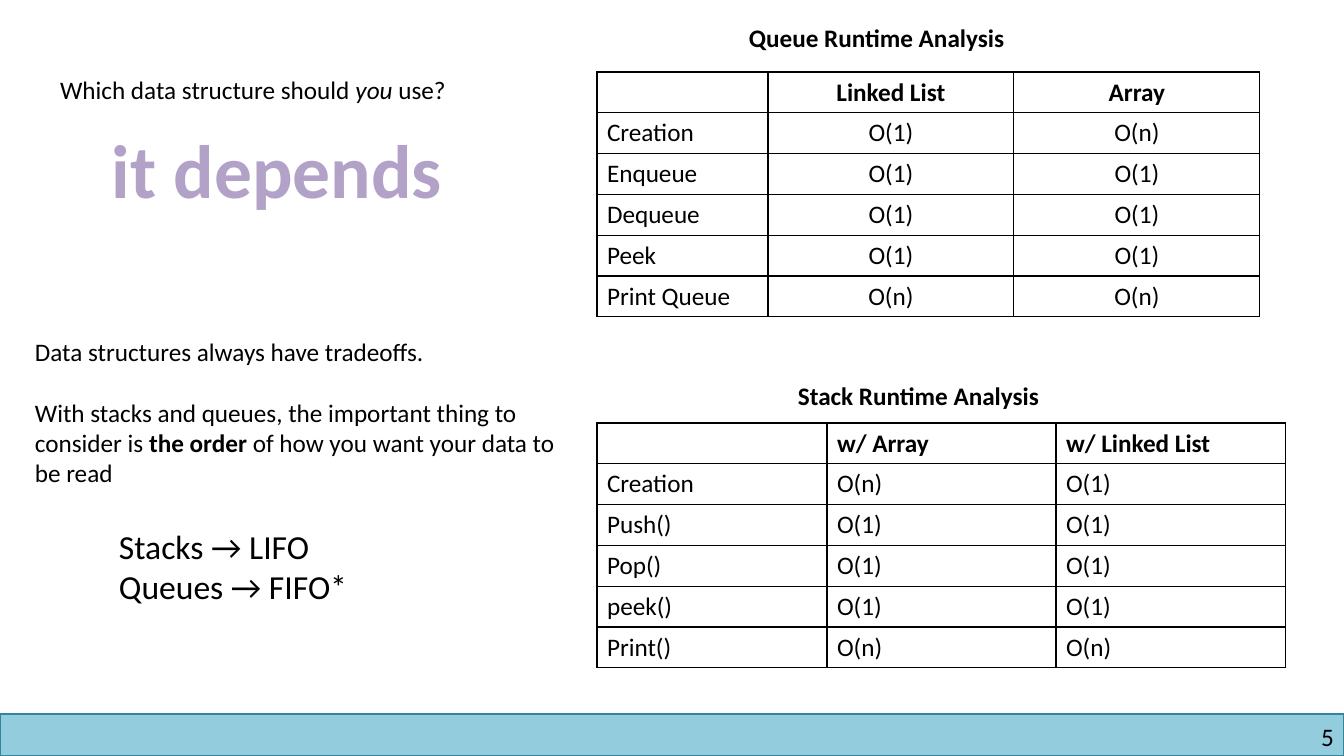
from dataclasses import dataclass

from lxml.etree import SubElement
from pptx import Presentation
from pptx.dml.color import RGBColor
from pptx.enum.shapes import MSO_SHAPE
from pptx.enum.text import MSO_ANCHOR, PP_ALIGN
from pptx.oxml.ns import qn
from pptx.util import Emu, Pt

EMU_PER_PX = 914400 / 100.8


@dataclass(frozen=True)
class Theme:
    font: str = "Calibri"
    ink: str = "000000"
    paper: str = "FFFFFF"
    accent: str = "B3A2C7"
    bar: str = "93CDDD"
    bar_line: str = "31859C"
    body: int = 18
    rule: int = 24
    answer: int = 54
    gap: int = 22


THEME = Theme()


def px(length):
    return Emu(round(length * EMU_PER_PX))


def style(para, size=THEME.body, color=THEME.ink, bold=False, align=PP_ALIGN.LEFT):
    para.alignment = align
    para.font.name = THEME.font
    para.font.size = Pt(size)
    para.font.bold = bold
    para.font.color.rgb = RGBColor.from_string(color)


def fill_text(box, paragraphs, gap=0, **look):
    """Each paragraph is a list of (text, emphasis) spans; emphasis is "", "bold" or "italic"."""
    frame = box.text_frame
    frame.word_wrap = True
    frame.vertical_anchor = MSO_ANCHOR.TOP
    for index, spans in enumerate(paragraphs):
        para = frame.add_paragraph() if index else frame.paragraphs[0]
        if index:
            para.space_before = Pt(gap)
        for text, emphasis in spans:
            span = para.add_run()
            span.text = text
            if emphasis:
                setattr(span.font, emphasis, True)
        style(para, **look)


def add_text(page, area, paragraphs, **look):
    box = page.shapes.add_textbox(*map(px, area))
    fill_text(box, paragraphs, **look)
    return box


def add_title(page, area, spans):
    title = page.shapes.title
    title.left, title.top, title.width, title.height = map(px, area)
    fill_text(title, [spans])


def add_footer_bar(page, area):
    bar = page.shapes.add_shape(MSO_SHAPE.RECTANGLE, *map(px, area))
    bar.shadow.inherit = False
    bar.fill.solid()
    bar.fill.fore_color.rgb = RGBColor.from_string(THEME.bar)
    bar.line.color.rgb = RGBColor.from_string(THEME.bar_line)
    bar.line.width = Pt(1)


def add_page_number(page, area, number):
    box = add_text(page, area, [[(number, "")]], align=PP_ALIGN.RIGHT)
    frame = box.text_frame
    frame.margin_left = frame.margin_right = frame.margin_top = frame.margin_bottom = 0


def add_borders(cell):
    properties = cell._tc.get_or_add_tcPr()
    for position, side in enumerate(("a:lnL", "a:lnR", "a:lnT", "a:lnB")):
        line = properties.makeelement(qn(side), {"w": str(Pt(1))})
        fill = SubElement(line, qn("a:solidFill"))
        SubElement(fill, qn("a:srgbClr"), val=THEME.ink)
        properties.insert(position, line)


def add_runtime_table(page, left, top, height, widths, rows, value_align):
    area = map(px, (left, top, sum(widths), height))
    table = page.shapes.add_table(len(rows), len(widths), *area).table
    for column, width in zip(table.columns, widths):
        column.width = px(width)
    for row_index, row in enumerate(rows):
        for column_index, text in enumerate(row):
            cell = table.cell(row_index, column_index)
            cell.text = text
            cell.fill.solid()
            cell.fill.fore_color.rgb = RGBColor.from_string(THEME.paper)
            add_borders(cell)
            align = value_align if column_index else PP_ALIGN.LEFT
            style(cell.text_frame.paragraphs[0], bold=row_index == 0, align=align)


def main():
    deck = Presentation()
    deck.slide_width, deck.slide_height = px(1344), px(756)
    page = deck.slides.add_slide(deck.slide_layouts[5])

    # Footer
    add_footer_bar(page, (0, 714, 1344, 42))
    add_page_number(page, (1025, 721, 309, 30), "5")

    # Question and answer
    add_title(page, (50, 69, 446, 40),
              [("Which data structure should ", ""), ("you", "italic"), (" use?", "")])
    add_text(page, (76, 118, 402, 102), [[("it depends", "")]], size=THEME.answer,
             color=THEME.accent, bold=True, align=PP_ALIGN.CENTER)

    # Advice
    add_text(page, (25, 331, 546, 163), [
        [("Data structures always have tradeoffs.", "")],
        [("With stacks and queues, the important thing to consider is ", ""),
         ("the order ", "bold"), ("of how you want your data to be read", "")],
    ], gap=THEME.gap)
    add_text(page, (109, 521, 281, 92),
             [[("Stacks → LIFO", "")], [("Queues → FIFO*", "")]], size=THEME.rule)

    # Queue runtimes
    add_text(page, (739, 17, 321, 40), [[("Queue Runtime Analysis", "")]], bold=True)
    add_runtime_table(page, 597, 72, 245, (171, 246, 246), [
        ("", "Linked List", "Array"),
        ("Creation", "O(1)", "O(n)"),
        ("Enqueue", "O(1)", "O(1)"),
        ("Dequeue", "O(1)", "O(1)"),
        ("Peek", "O(1)", "O(1)"),
        ("Print Queue", "O(n)", "O(n)"),
    ], PP_ALIGN.CENTER)

    # Stack runtimes
    add_text(page, (788, 375, 308, 40), [[("Stack Runtime Analysis", "")]], bold=True)
    add_runtime_table(page, 597, 423, 245, (230, 229, 230), [
        ("", "w/ Array", "w/ Linked List"),
        ("Creation", "O(n)", "O(1)"),
        ("Push()", "O(1)", "O(1)"),
        ("Pop()", "O(1)", "O(1)"),
        ("peek()", "O(1)", "O(1)"),
        ("Print()", "O(n)", "O(n)"),
    ], PP_ALIGN.LEFT)

    deck.save("out.pptx")


if __name__ == "__main__":
    main()
